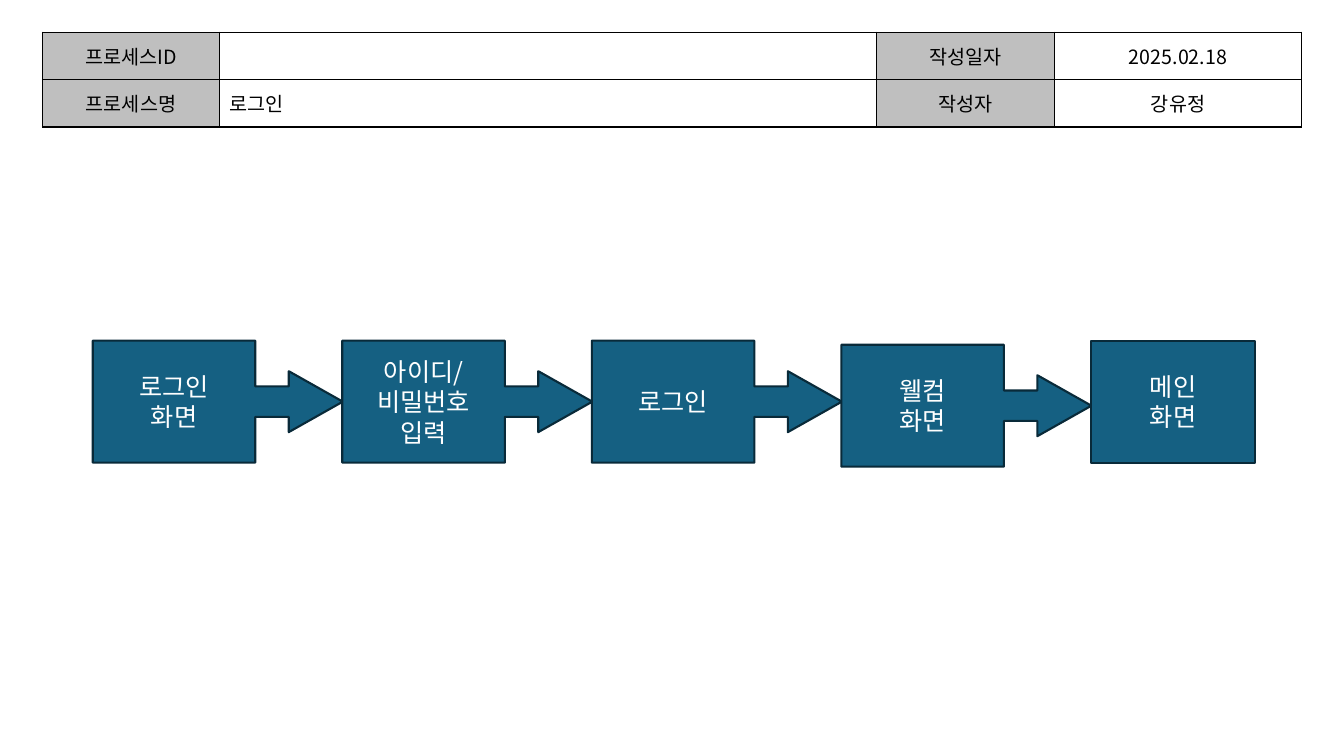
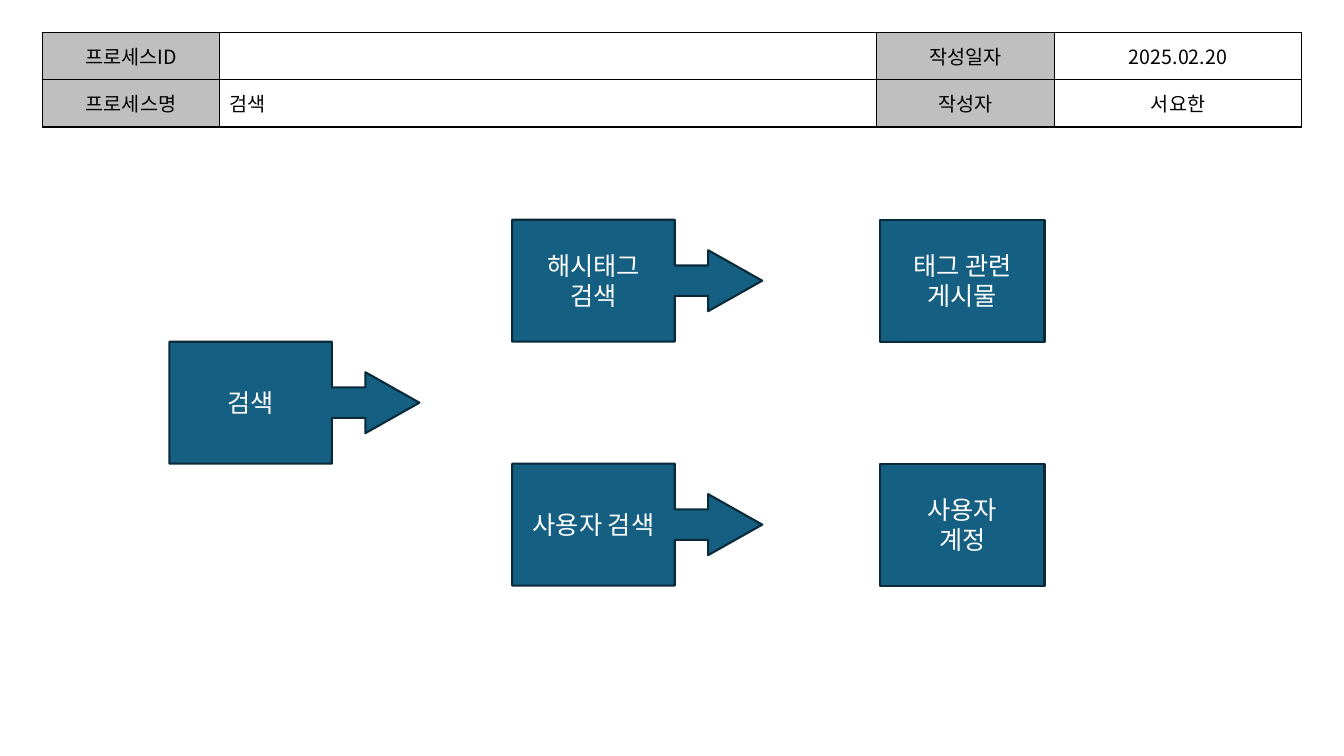
from lxml import etree
from pptx import Presentation
from pptx.dml.color import RGBColor
from pptx.enum.shapes import MSO_SHAPE as SHAPE
from pptx.enum.text import MSO_ANCHOR as ANCHOR, PP_ALIGN as ALIGN
from pptx.oxml import parse_xml
from pptx.oxml.ns import nsdecls, qn
from pptx.util import Inches, Pt

FONT = "Noto Sans CJK KR"
BLACK, WHITE, GRAY = "000000", "FFFFFF", "BFBFBF"
BLUE, NAVY = "156082", "092A39"
NO_STYLE = "{2D5ABB26-0587-4C30-8999-92F81FD0307C}"
TABLE_BOX = (0.42, 0.32, 12.49, 6.82)
COLS = (1.76, 6.51, 1.77, 2.45)
ROWS = (0.47, 0.47, 5.88)
PITCH = 2.475
STEP_W, STEP_H = 1.63, 1.21
CALLOUT_W = 2.48
CALLOUT_ADJ = (0.25, 0.25, 0.443, 0.65)


def color(hex_text):
    return RGBColor.from_string(hex_text)


def style_text(tf, size, hex_text, align):
    for p in tf.paragraphs:
        p.alignment = align
        for r in p.runs:
            r.font.size = Pt(size)
            r.font.color.rgb = color(hex_text)
            r.font.name = FONT
            ea = etree.SubElement(r.font._element, qn("a:ea"))
            ea.set("typeface", FONT)


def add_borders(cell, sides):
    tc_pr = cell._tc.get_or_add_tcPr()
    for i, side in enumerate(sides):
        tc_pr.insert(i, parse_xml(
            f'<a:ln{side} {nsdecls("a")} w="{Pt(1)}"><a:solidFill>'
            f'<a:srgbClr val="{BLACK}"/></a:solidFill></a:ln{side}>'))


def add_header(slide, box, name, date, author):
    shape = slide.shapes.add_table(len(ROWS), len(COLS), *map(Inches, box))
    table = shape.table
    table.first_row = table.horz_banding = False
    table._tbl.tblPr.find(qn("a:tableStyleId")).text = NO_STYLE
    for col, width in zip(table.columns, COLS):
        col.width = Inches(width)
    for row, height in zip(table.rows, ROWS):
        row.height = Inches(height)

    values = (("프로세스ID", "", "작성일자", date),
              ("프로세스명", name, "작성자", author))
    for i, row in enumerate(values):
        for j, text in enumerate(row):
            cell = table.cell(i, j)
            cell.text = text
            cell.vertical_anchor = ANCHOR.MIDDLE
            if j % 2 == 0:
                cell.fill.solid()
                cell.fill.fore_color.rgb = color(GRAY)
            else:
                cell.fill.background()
            style_text(cell.text_frame, 14, BLACK,
                       ALIGN.LEFT if j == 1 else ALIGN.CENTER)
            add_borders(cell, "LRTB")

    table.cell(2, 0).merge(table.cell(2, 3))
    for j in range(len(COLS)):
        cell = table.cell(2, j)
        cell.fill.background()
        add_borders(cell, "T")


def add_step(slide, left, top, text, arrow=True):
    kind = SHAPE.RIGHT_ARROW_CALLOUT if arrow else SHAPE.FLOWCHART_PROCESS
    width = CALLOUT_W if arrow else STEP_W
    sp = slide.shapes.add_shape(kind, *map(Inches, (left, top, width, STEP_H)))
    if arrow:
        for i, value in enumerate(CALLOUT_ADJ):
            sp.adjustments[i] = value
    sp.shadow.inherit = False
    sp.fill.solid()
    sp.fill.fore_color.rgb = color(BLUE)
    sp.line.color.rgb = color(NAVY)
    sp.line.width = Pt(1.5)
    tf = sp.text_frame
    tf.word_wrap = True
    tf.vertical_anchor = ANCHOR.MIDDLE
    tf.text = text
    style_text(tf, 18, WHITE, ALIGN.CENTER)


def add_process_slide(prs, name, date, author):
    slide = prs.slides.add_slide(prs.slide_layouts[6])
    add_header(slide, TABLE_BOX, name, date, author)
    return slide


def add_login_flow(slide, left, top):
    steps = (("로그인\n화면", 0), ("아이디/\n비밀번호\n입력", 0), ("로그인", 0),
             ("웰컴\n화면", 0.04), ("메인\n화면", 0))
    for i, (text, drop) in enumerate(steps):
        add_step(slide, left + i * PITCH, top + drop, text,
                 arrow=i < len(steps) - 1)


def add_search_flow(slide, left, top):
    search, kinds, results = left, left + 3.4, left + 7.05
    add_step(slide, search, top + STEP_H, "검색")
    branches = (("해시태그\n검색", "태그 관련\n게시물"),
                ("사용자 검색", "사용자\n계정"))
    for i, (kind, result) in enumerate(branches):
        row_top = top + 2 * i * STEP_H
        add_step(slide, kinds, row_top, kind)
        add_step(slide, results, row_top, result, arrow=False)


def main():
    prs = Presentation()
    prs.slide_width, prs.slide_height = Inches(13.33), Inches(7.5)
    login = add_process_slide(prs, "로그인", "2025.02.18", "강유정")
    add_login_flow(login, 0.92, 3.38)
    search = add_process_slide(prs, "검색", "2025.02.20", "서요한")
    add_search_flow(search, 1.68, 2.18)
    prs.save("out.pptx")


if __name__ == "__main__":
    main()
